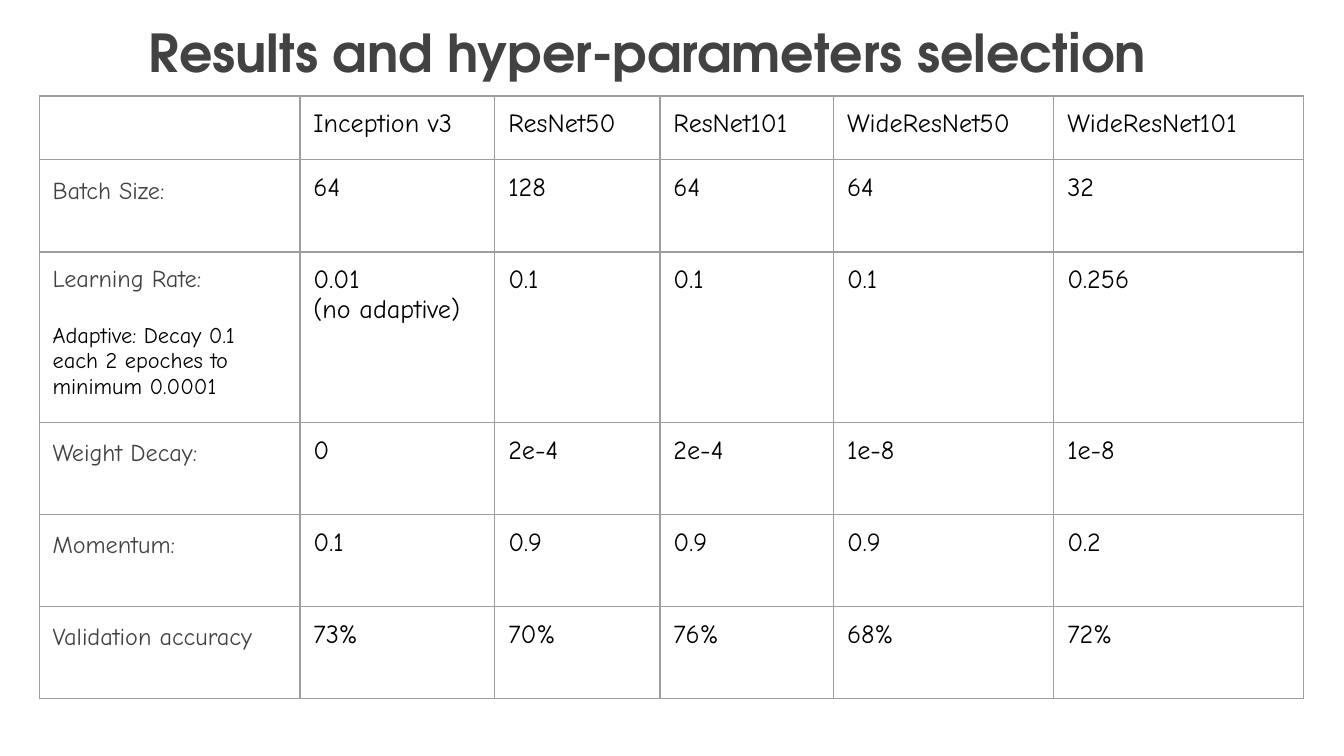
from dataclasses import dataclass

from lxml.etree import SubElement
from pptx import Presentation
from pptx.dml.color import RGBColor
from pptx.oxml import parse_xml
from pptx.oxml.ns import nsdecls, qn
from pptx.util import Pt


@dataclass(frozen=True)
class Theme:
    heading_font: str = "TeX Gyre Adventor"
    body_font: str = "Comic Neue"
    dark: str = "424242"
    black: str = "000000"
    border: str = "9E9E9E"
    title_size: float = 28
    value_size: float = 14
    label_size: float = 13
    note_size: float = 12
    border_width: float = 0.75
    inset: float = 7.2


THEME = Theme()

COLUMN_WIDTHS = [139.7, 104.4, 88.5, 93, 118, 133.9]
HEADER_HEIGHT, ROW_HEIGHT, LEARNING_RATE_HEIGHT = 34.2, 49.4, 91.2
LEARNING_RATE = "Learning Rate:"
DECAY_NOTE = ["Adaptive: Decay 0.1", "each 2 epoches to minimum 0.0001"]
ROWS = [
    ["", "Inception v3", "ResNet50", "ResNet101", "WideResNet50", "WideResNet101"],
    ["Batch Size:", "64", "128", "64", "64", "32"],
    [LEARNING_RATE, "0.01\n(no adaptive)", "0.1", "0.1", "0.1", "0.256"],
    ["Weight Decay:", "0", "2e-4", "2e-4", "1e-8", "1e-8"],
    ["Momentum:", "0.1", "0.9", "0.9", "0.9", "0.2"],
    ["Validation accuracy", "73%", "70%", "76%", "68%", "72%"],
]


def format_runs(p, font, size, color, bold=False):
    for r in p.runs:
        r.font.name = font
        r.font.size = Pt(size)
        r.font.color.rgb = RGBColor.from_string(color)
        r.font.bold = bold


def set_insets(frame):
    """Give a text frame or a table cell the same margin on all sides."""
    frame.margin_left = frame.margin_right = Pt(THEME.inset)
    frame.margin_top = frame.margin_bottom = Pt(THEME.inset)


def add_title(slide, text):
    sp = slide.shapes.add_textbox(Pt(72.7), Pt(3.6), Pt(575.3), Pt(54))
    tf = sp.text_frame
    tf.word_wrap = True
    set_insets(tf)
    tf.text = text
    format_runs(tf.paragraphs[0], THEME.heading_font, THEME.title_size,
                THEME.dark, bold=True)


def style_cell(cell):
    set_insets(cell)
    cell.fill.background()
    tc_pr = cell._tc.get_or_add_tcPr()
    for i, side in enumerate(("lnL", "lnR", "lnT", "lnB")):
        tc_pr.insert(i, parse_xml(
            f'<a:{side} {nsdecls("a")} w="{Pt(THEME.border_width)}">'
            f'<a:solidFill><a:srgbClr val="{THEME.border}"/></a:solidFill>'
            f'</a:{side}>'))


def write_values(cell, text):
    tf = cell.text_frame
    tf.text = text
    for p in tf.paragraphs:
        format_runs(p, THEME.body_font, THEME.value_size, THEME.black)
        if not text:  # keeps the empty cell from stretching its row
            SubElement(p._p, qn("a:endParaRPr"), sz=str(THEME.value_size * 100))


def write_label(cell, text):
    tf = cell.text_frame
    tf.text = text
    p = tf.paragraphs[0]
    format_runs(p, THEME.body_font, THEME.label_size, THEME.dark)
    if text != LEARNING_RATE:
        p.line_spacing = 1.15
        p.space_after = Pt(16)
        return
    for i, line in enumerate(DECAY_NOTE):
        p = tf.add_paragraph()
        p.text = line
        p.space_before = Pt(0 if i else 16)
        format_runs(p, THEME.body_font, THEME.note_size, THEME.black)


def add_results_table(slide):
    heights = [LEARNING_RATE_HEIGHT if row[0] == LEARNING_RATE else ROW_HEIGHT
               for row in ROWS]
    heights[0] = HEADER_HEIGHT
    table = slide.shapes.add_table(
        len(ROWS), len(COLUMN_WIDTHS), Pt(21), Pt(51.4),
        Pt(sum(COLUMN_WIDTHS)), Pt(sum(heights))).table
    table.first_row = table.horz_banding = False
    for column, width in zip(table.columns, COLUMN_WIDTHS):
        column.width = Pt(width)
    for i, (row, height) in enumerate(zip(ROWS, heights)):
        table.rows[i].height = Pt(height)
        for j, text in enumerate(row):
            cell = table.cell(i, j)
            style_cell(cell)
            write = write_label if i and j == 0 else write_values
            write(cell, text)


def main():
    prs = Presentation()
    prs.slide_width, prs.slide_height = Pt(720), Pt(405)
    slide = prs.slides.add_slide(prs.slide_layouts[6])
    add_title(slide, "Results and hyper-parameters selection")
    add_results_table(slide)
    prs.save("out.pptx")


if __name__ == "__main__":
    main()
